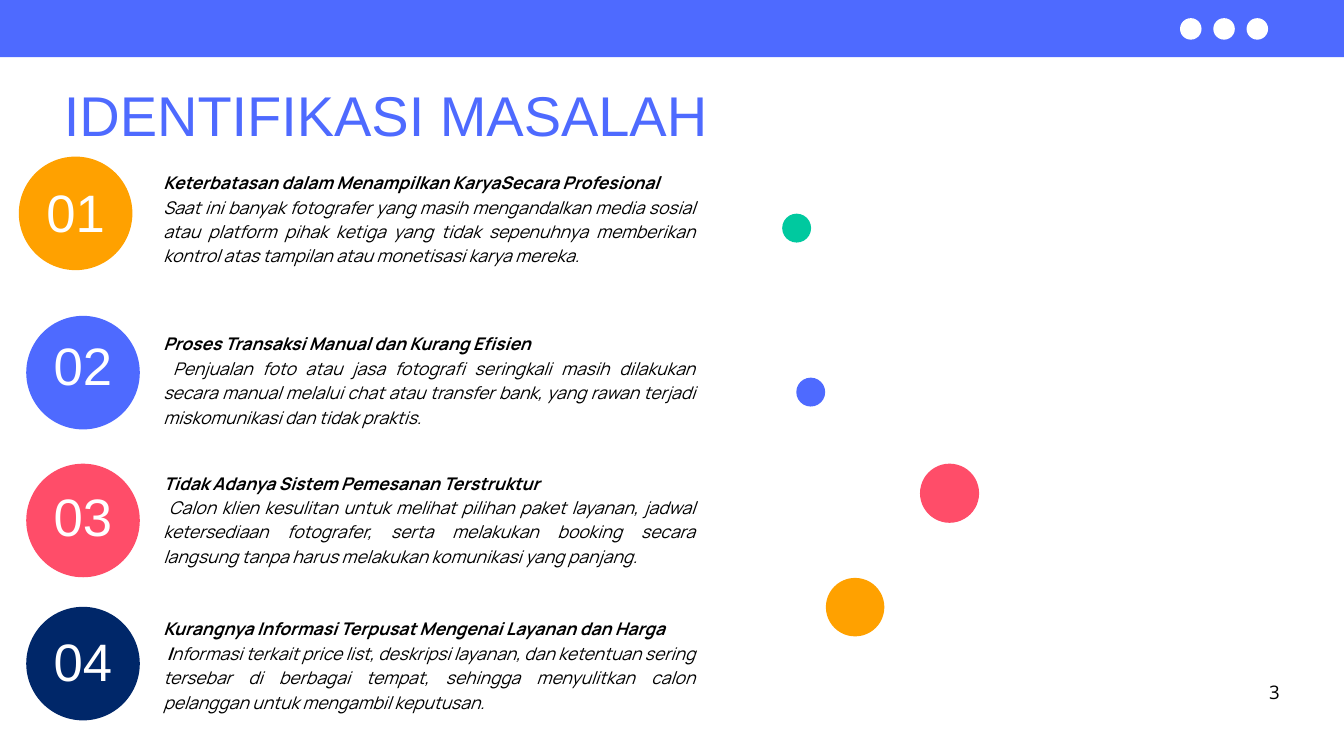
import pptx
import pptx.util
from pptx.dml.color import RGBColor
from pptx.enum.shapes import MSO_SHAPE
from pptx.enum.text import PP_ALIGN

WIDTH, HEIGHT = 20, 11.25
COLORS = {"blue": "4E6AFF", "orange": "FFA100", "green": "00C99F", "pink": "FF4D69",
          "navy": "002769", "white": "FFFFFF", "black": "000000"}

TITLE = "IDENTIFIKASI MASALAH"
PAGE_NUMBER = "3"

# heading, bold lead-in, body
PROBLEMS = [
    ("Keterbatasan dalam Menampilkan KaryaSecara Profesional", "",
     "Saat ini banyak fotografer yang masih mengandalkan media sosial atau platform pihak ketiga "
     "yang tidak sepenuhnya memberikan kontrol atas tampilan atau monetisasi karya mereka."),
    ("Proses Transaksi Manual dan Kurang Efisien", "",
     " Penjualan foto atau jasa fotografi seringkali masih dilakukan secara manual melalui chat "
     "atau transfer bank, yang rawan terjadi miskomunikasi dan tidak praktis."),
    ("Tidak Adanya Sistem Pemesanan Terstruktur", " ",
     "Calon klien kesulitan untuk melihat pilihan paket layanan, jadwal ketersediaan fotografer, "
     "serta melakukan booking secara langsung tanpa harus melakukan komunikasi yang panjang."),
    ("Kurangnya Informasi Terpusat Mengenai Layanan dan Harga", " I",
     "nformasi terkait price list, deskripsi layanan, dan ketentuan sering tersebar di berbagai "
     "tempat, sehingga menyulitkan calon pelanggan untuk mengambil keputusan."),
]

# badge left, badge top, number top, text top, text height, colour
ROWS = [
    (0.28, 2.33, 3.05, 2.51, 2.14, "orange"),
    (0.39, 4.70, 5.33, 4.91, 2.14, "blue"),
    (0.39, 6.90, 7.57, 6.98, 1.78, "pink"),
    (0.39, 9.03, 9.73, 9.15, 1.78, "navy"),
]
BADGE = 1.69
NUMBER_WIDTH, NUMBER_HEIGHT = 1.38, 0.67
TEXT_LEFT, TEXT_WIDTH = 2.43, 7.92

# left, top, diameter, colour
DOTS = [
    (11.64, 3.18, 0.43, "green"),
    (11.85, 5.62, 0.43, "blue"),
    (13.69, 6.90, 0.88, "pink"),
    (12.29, 8.60, 0.87, "orange"),
]
MENU_LEFT, MENU_TOP, MENU_DOT, MENU_STEP = 17.56, 0.27, 0.32, 0.495


def add_plain_shape(page, kind, left, top, width, height, color):
    shape = page.shapes.add_shape(kind, *map(pptx.util.Inches, (left, top, width, height)))
    shape.shadow.inherit = False
    shape.fill.solid()
    shape.fill.fore_color.rgb = RGBColor.from_string(COLORS[color])
    shape.line.fill.background()


def add_circle(page, left, top, size, color):
    add_plain_shape(page, MSO_SHAPE.OVAL, left, top, size, size, color)


def add_text(page, area, paragraphs, font, size, color, spacing, align, wrap=True, italic=None):
    """Add a text box; each paragraph is a list of (text, bold) spans."""
    box = page.shapes.add_textbox(*map(pptx.util.Inches, area))
    frame = box.text_frame
    frame.word_wrap = wrap
    frame.margin_left = frame.margin_right = frame.margin_top = frame.margin_bottom = 0
    for index, spans in enumerate(paragraphs):
        para = frame.add_paragraph() if index else frame.paragraphs[0]
        para.alignment = align
        para.line_spacing = pptx.util.Pt(spacing)
        for text, bold in spans:
            if not text:
                continue
            span = para.add_run()
            span.text = text
            span.font.name = font
            span.font.size = pptx.util.Pt(size)
            span.font.bold = bold
            span.font.italic = italic
            span.font.color.rgb = RGBColor.from_string(COLORS[color])


def add_problem(page, number, problem, row):
    heading, lead, body = problem
    badge_left, badge_top, number_top, text_top, text_height, color = row
    add_circle(page, badge_left, badge_top, BADGE, color)
    number_left = badge_left + (BADGE - NUMBER_WIDTH) / 2
    add_text(page, (number_left, number_top, NUMBER_WIDTH, NUMBER_HEIGHT),
             [[(f"{number:02}", False)]], "Arial", 56.4, "white", 41.1, PP_ALIGN.CENTER)
    add_text(page, (TEXT_LEFT, text_top, TEXT_WIDTH, text_height),
             [[(heading, True)], [(lead, True), (body, False)]],
             "Manrope", 18.7, "black", 26.2, PP_ALIGN.JUSTIFY, italic=True)


def main():
    deck = pptx.Presentation()
    deck.slide_width = pptx.util.Inches(WIDTH)
    deck.slide_height = pptx.util.Inches(HEIGHT)
    page = deck.slides.add_slide(deck.slide_layouts[6])

    add_plain_shape(page, MSO_SHAPE.RECTANGLE, 0, 0, WIDTH, 0.85, "blue")
    for index in range(3):
        add_circle(page, MENU_LEFT + index * MENU_STEP, MENU_TOP, MENU_DOT, "white")

    add_text(page, (0.95, 1.51, 11.47, 0.78), [[(TITLE, False)]],
             "Arial", 60, "blue", 49.2, PP_ALIGN.LEFT)
    for dot in DOTS:
        add_circle(page, *dot)
    for number, (problem, row) in enumerate(zip(PROBLEMS, ROWS), start=1):
        add_problem(page, number, problem, row)

    add_text(page, (18.88, 10.07, 0.17, 0.22), [[(PAGE_NUMBER, False)]],
             "Open Sans", 20, "black", 28, PP_ALIGN.CENTER, wrap=False)
    deck.save("out.pptx")


if __name__ == "__main__":
    main()
